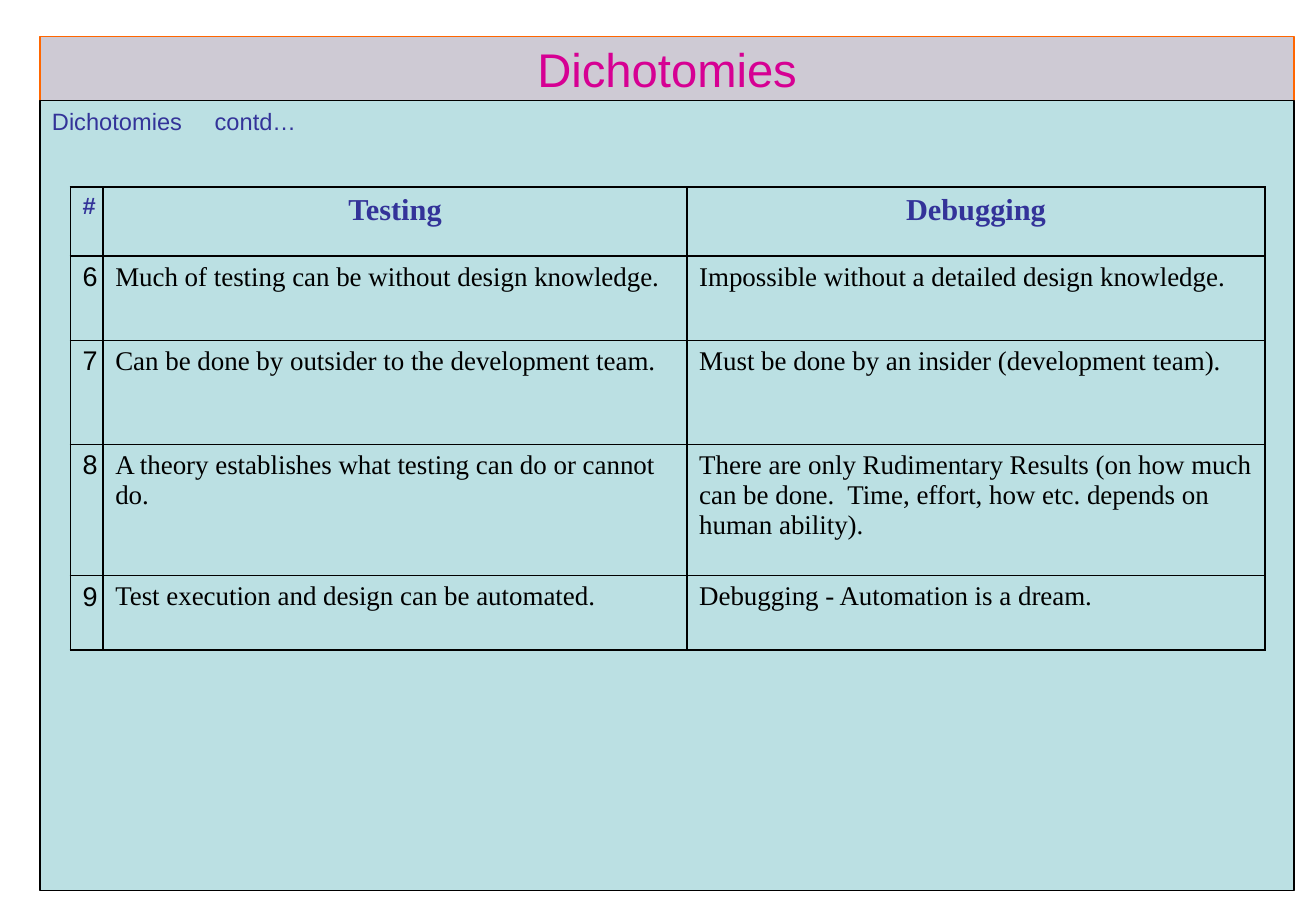
from lxml import etree
from pptx import Presentation
from pptx import util as u
from pptx.dml.color import RGBColor
from pptx.enum import shapes, text
from pptx.oxml import ns

COLORS = {
    "band": "CECAD4", "orange": "FF6600", "pink": "D60093",
    "panel": "BBE0E3", "black": "000000", "navy": "333399",
}
SANS, SERIF = "Arial", "Times New Roman"
THIN, EDGE, INNER = 0.45, 1.08, 1.47

HEAD = ("#", "Testing", "Debugging")
ROWS = [
    ("6", "Much of testing can be without design knowledge.",
     "Impossible without a detailed design knowledge."),
    ("7", "Can be done by outsider to the development team.",
     "Must be done by an insider (development team)."),
    ("8", "A theory establishes what testing can do or cannot do.",
     "There are only Rudimentary Results (on how much can be done.  "
     "Time, effort, how etc. depends on human ability)."),
    ("9", "Test execution and design can be automated.",
     "Debugging - Automation is a dream."),
]
WIDTHS = (0.27, 4.81, 4.76)
HEIGHTS = (0.57, 0.69, 0.86, 1.08, 0.61)


def color(name):
    return RGBColor.from_string(COLORS[name])


class Deck:
    def __init__(self, wide, high):
        self.prs = Presentation()
        self.prs.slide_width = u.Inches(wide)
        self.prs.slide_height = u.Inches(high)
        self.slide = self.prs.slides.add_slide(self.prs.slide_layouts[6])

    def put(self, para, words, size, font, ink, bold=False,
            align=text.PP_ALIGN.LEFT):
        para.alignment = align
        run = para.add_run()
        run.text = words
        run.font.size = u.Pt(size)
        run.font.name = font
        run.font.bold = bold
        run.font.color.rgb = color(ink)

    def rect(self, x, y, w, h, fill, line):
        box = self.slide.shapes.add_shape(
            shapes.MSO_SHAPE.RECTANGLE, *map(u.Inches, (x, y, w, h)))
        box.shadow.inherit = False
        box.fill.solid()
        box.fill.fore_color.rgb = color(fill)
        box.line.color.rgb = color(line)
        box.line.width = u.Pt(0.75)
        box.text_frame.vertical_anchor = text.MSO_ANCHOR.MIDDLE
        return box.text_frame.paragraphs[0]

    def label(self, x, y, w, h, tab):
        box = self.slide.shapes.add_textbox(*map(u.Inches, (x, y, w, h)))
        box.text_frame.word_wrap = True
        para = box.text_frame.paragraphs[0]
        stops = etree.SubElement(para._p.get_or_add_pPr(), ns.qn("a:tabLst"))
        etree.SubElement(stops, ns.qn("a:tab"),
                         pos=str(u.Inches(tab)), algn="l")
        return para

    def border(self, cell, widths):
        props = cell._tc.get_or_add_tcPr()
        for spot, (side, width) in enumerate(widths.items()):
            line = etree.Element(ns.qn("a:ln" + side), w=str(u.Pt(width)))
            fill = etree.SubElement(line, ns.qn("a:solidFill"))
            etree.SubElement(fill, ns.qn("a:srgbClr"), val=COLORS["black"])
            props.insert(spot, line)

    def table(self, x, y, widths, heights, rows):
        size = map(u.Inches, (x, y, sum(widths), sum(heights)))
        grid = self.slide.shapes.add_table(len(rows), len(widths), *size).table
        grid.first_row = grid.horz_banding = False
        for col, width in zip(grid.columns, widths):
            col.width = u.Inches(width)
        for row, height in zip(grid.rows, heights):
            row.height = u.Inches(height)
        end, last = len(rows) - 1, len(widths) - 1
        for r, row in enumerate(rows):
            for c, words in enumerate(row):
                cell = grid.cell(r, c)
                cell.fill.background()
                para = cell.text_frame.paragraphs[0]
                font = SERIF if c else SANS
                if r == 0:
                    self.put(para, words, 18 if c else 14, font, "navy",
                             True, text.PP_ALIGN.CENTER)
                else:
                    self.put(para, words, 16, font, "black")
                self.border(cell, {
                    "L": INNER if c else EDGE,
                    "R": INNER if c < last else EDGE,
                    "T": THIN if r > 1 else EDGE,
                    "B": THIN if 0 < r < end else EDGE,
                })


def main():
    deck = Deck(10.84, 7.5)

    # Title band
    title = deck.rect(0.33, 0.3, 10.33, 0.53, "band", "orange")
    deck.put(title, "Dichotomies", 28, SANS, "pink",
             align=text.PP_ALIGN.CENTER)

    # Panel and its heading
    deck.rect(0.33, 0.83, 10.33, 6.5, "panel", "black")
    heading = deck.label(0.33, 0.83, 10.33, 0.34, 1.34)
    deck.put(heading, "Dichotomies\tcontd…", 14, SANS, "navy")

    # Comparison table
    deck.table(0.58, 1.54, WIDTHS, HEIGHTS, [HEAD] + ROWS)

    deck.prs.save("out.pptx")


if __name__ == "__main__":
    main()
